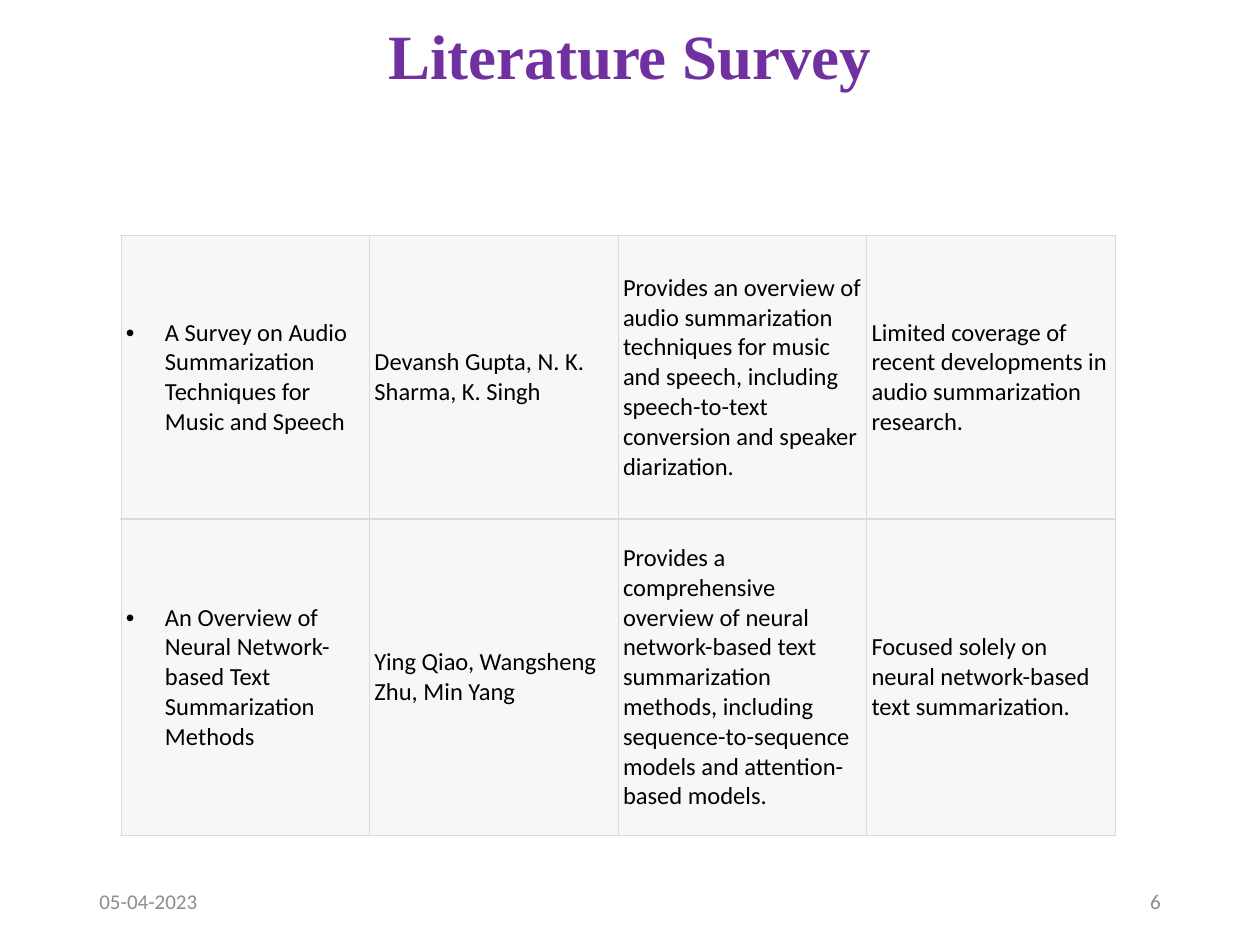
from lxml.etree import SubElement
from pptx import Presentation
from pptx.dml.color import RGBColor
from pptx.enum.text import MSO_ANCHOR as Anchor, PP_ALIGN as Align
from pptx.oxml.ns import qn
from pptx.util import Inches, Pt

PURPLE = RGBColor(0x70, 0x30, 0xA0)
GRAY = RGBColor(0x8C, 0x8C, 0x8C)
BLACK = RGBColor(0, 0, 0)
CELL_FILL = RGBColor(0xF7, 0xF7, 0xF8)
BORDER = RGBColor(0xD9, 0xD9, 0xE3)

WIDTH, HEIGHT = 10, 7.5
MARGIN = 0.69
CONTENT_WIDTH = WIDTH - 2 * MARGIN
FOOTER_WIDTH = 2.25
ROW_HEIGHTS = (2.25, 2.51)

# Title, authors, contribution, limitation
PAPERS = [
    ("A Survey on Audio Summarization Techniques for Music and Speech",
     "Devansh Gupta, N. K. Sharma, K. Singh",
     "Provides an overview of audio summarization techniques for music and "
     "speech, including speech-to-text conversion and speaker diarization.",
     "Limited coverage of recent developments in audio summarization research."),
    ("An Overview of Neural Network-based Text Summarization Methods",
     "Ying Qiao, Wangsheng Zhu, Min Yang",
     "Provides a comprehensive overview of neural network-based text "
     "summarization methods, including sequence-to-sequence models and "
     "attention-based models.",
     "Focused solely on neural network-based text summarization."),
]


def write(frame, text, size=14, color=BLACK, font="Calibri", bold=False,
          align=Align.LEFT, spacing=1.0, bullet=False):
    """Fill a text frame with one formatted paragraph."""
    frame.word_wrap = True
    paragraph = frame.paragraphs[0]
    paragraph.alignment = align
    paragraph.line_spacing = spacing
    run = paragraph.add_run()
    run.text = text
    run.font.name = font
    run.font.size = Pt(size)
    run.font.bold = bold
    run.font.color.rgb = color
    if bullet:
        properties = paragraph._p.get_or_add_pPr()
        indent = Inches(0.31)
        properties.set("marL", str(indent))
        properties.set("indent", str(-indent))
        SubElement(properties, qn("a:buFont"), typeface="Arial")
        SubElement(properties, qn("a:buChar"), char="•")


def add_text(slide, box, text, **text_format):
    frame = slide.shapes.add_textbox(*map(Inches, box)).text_frame
    frame.vertical_anchor = Anchor.MIDDLE
    write(frame, text, **text_format)


def add_borders(cell, widths):
    """Draw cell borders; widths maps L, R, T, B to points."""
    properties = cell._tc.get_or_add_tcPr()
    for side, width in widths.items():
        line = SubElement(properties, qn(f"a:ln{side}"), w=str(Pt(width)))
        fill = SubElement(line, qn("a:solidFill"))
        SubElement(fill, qn("a:srgbClr"), val=str(BORDER))


def add_title(slide, box):
    add_text(slide, box, "Literature Survey", size=36, color=PURPLE,
             font="Times New Roman", bold=True, align=Align.CENTER, spacing=0.9)


def add_survey(slide, box):
    frame = slide.shapes.add_table(len(PAPERS), len(PAPERS[0]),
                                   *map(Inches, box))
    table = frame.table
    table.first_row = table.horz_banding = False
    for row, height in zip(table.rows, ROW_HEIGHTS):
        row.height = Inches(height)
    for r, paper in enumerate(PAPERS):
        for c, text in enumerate(paper):
            cell = table.cell(r, c)
            cell.margin_left = cell.margin_right = Inches(0.04)
            cell.margin_top = cell.margin_bottom = Inches(0.02)
            cell.vertical_anchor = Anchor.MIDDLE
            add_borders(cell, {"L": 0.6, "R": 0.6, "T": 1,
                               "B": 1 if r == 0 else 0.6})
            cell.fill.solid()
            cell.fill.fore_color.rgb = CELL_FILL
            write(cell.text_frame, text, bullet=c == 0)


def add_footer(slide, box):
    left, top, width, height = box
    right_left = left + width - FOOTER_WIDTH
    for x, text, align in ((left, "05-04-2023", Align.LEFT),
                           (right_left, "6", Align.RIGHT)):
        add_text(slide, (x, top, FOOTER_WIDTH, height), text,
                 size=12, color=GRAY, align=align)


def main():
    deck = Presentation()
    deck.slide_width, deck.slide_height = Inches(WIDTH), Inches(HEIGHT)
    slide = deck.slides.add_slide(deck.slide_layouts[6])
    add_title(slide, (MARGIN, 0.18, CONTENT_WIDTH, 0.58))
    add_survey(slide, (0.96, 1.87, 7.89, sum(ROW_HEIGHTS)))
    add_footer(slide, (MARGIN, 6.95, CONTENT_WIDTH, 0.4))
    deck.save("out.pptx")


if __name__ == "__main__":
    main()
